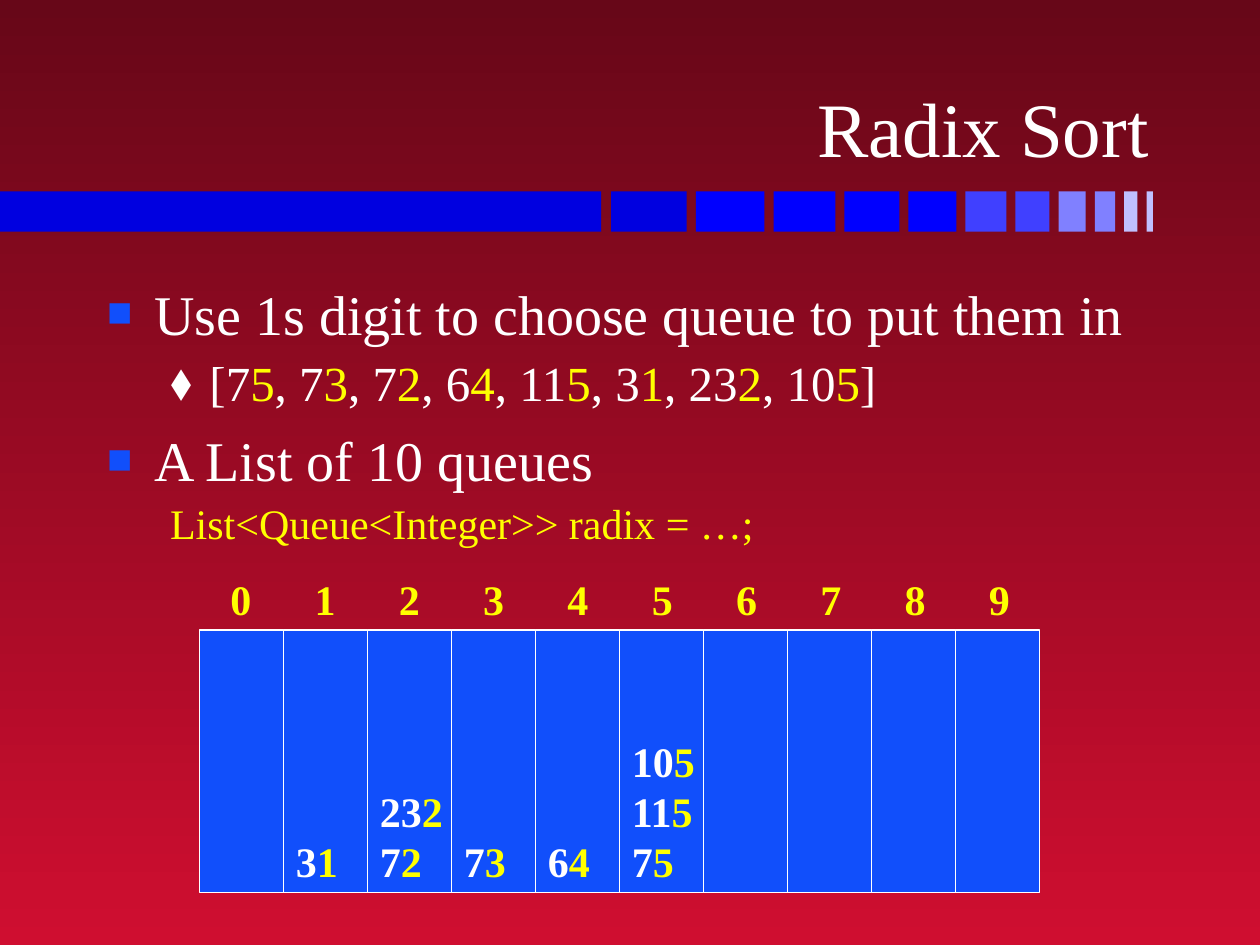
from lxml.etree import SubElement
from pptx import Presentation
from pptx.dml.color import RGBColor
from pptx.enum.shapes import MSO_SHAPE as Preset
from pptx.enum.text import MSO_ANCHOR as Anchor, MSO_AUTO_SIZE as AutoSize, PP_ALIGN as Align
from pptx.oxml.ns import qn
from pptx.util import Pt

# Text between asterisks takes the accent colour.
TITLE = "Radix Sort"
OUTLINE = [
    ("topic", "Use 1s digit to choose queue to put them in"),
    ("example", "[7*5*, 7*3*, 7*2*, 6*4*, 11*5*, 3*1*, 23*2*, 10*5*]"),
    ("topic", "A List of 10 queues"),
    ("code", "*List<Queue<Integer>> radix = …;*"),
]
QUEUES = [
    [], ["3*1*"], ["23*2*", "7*2*"], ["7*3*"], ["6*4*"],
    ["10*5*", "11*5*", "7*5*"], [], [], [], [],
]
BAR_COLOURS = ["0000E0"] + ["0000FF"] * 4 + ["4040FF"] * 2 + ["8080FF"] * 2 + ["C0C0FF"] * 2

THEME = {
    "font": "Times New Roman",
    "text": "FFFFFF", "accent": "FFFF00", "queue": "114FFB", "bar": "0000E0",
    "background": ("670718", "CF0E30"),
    "title": 44, "topic": 32, "example": 28, "code": 24, "cell": 24,
}
# Level, left margin, first-line indent, space before, bullet (sign, colour, percent)
OUTLINE_STYLES = {
    "topic": (0, 27, -27, 8, ("■", THEME["queue"], 75)),
    "example": (1, 58.5, -22.5, 3.5, ("⬧", THEME["text"], 100)),
    "code": (1, 58.5, -22.5, 3, None),
}

BAR_TOP, BAR_HEIGHT = 109.4, 23
BAR_SOLID, BAR_START = 343.6, 349.2
BAR_WIDTH, BAR_SHRINK, BAR_GAP = 43.2, 3.96, 5.22
QUEUE_LEFT, QUEUE_TOP, QUEUE_WIDTH, QUEUE_HEIGHT = 114, 360, 48, 150
LABEL_LEFT, LABEL_TOP, LABEL_PITCH, LABEL_WIDTH, LABEL_HEIGHT = 124.6, 324, 48.15, 26, 36


def colour(code):
    return RGBColor.from_string(code)


def write(para, marked, size, bold=False):
    for index, text in enumerate(marked.split("*")):
        if not text:
            continue
        span = para.add_run()
        span.text = text
        span.font.color.rgb = colour(THEME["accent" if index % 2 else "text"])
        form = {"name": THEME["font"], "size": Pt(size), "bold": bold}
        for name, value in form.items():
            setattr(span.font, name, value)


def paragraphs(frame, count):
    return [frame.paragraphs[0]] + [frame.add_paragraph() for _ in range(count - 1)]


def format_frame(frame, **form):
    for name, value in form.items():
        setattr(frame, name, value)


def place(shape, left, top, width, height):
    for name, value in zip(("left", "top", "width", "height"), (left, top, width, height)):
        setattr(shape, name, Pt(value))


def add_block(page, left, top, width, height, fill, outline=None):
    block = page.shapes.add_shape(
        Preset.RECTANGLE, Pt(left), Pt(top), Pt(width), Pt(height))
    block.shadow.inherit = False
    block.fill.solid()
    block.fill.fore_color.rgb = colour(fill)
    if outline:
        block.line.color.rgb = colour(outline)
        block.line.width = Pt(1)
    else:
        block.line.fill.background()
    return block


def set_bullet(para, margin, indent, bullet):
    props = para._p.get_or_add_pPr()
    props.set("marL", str(Pt(margin)))
    props.set("indent", str(Pt(indent)))
    if bullet is None:
        SubElement(props, qn("a:buNone"))
        return
    sign, code, percent = bullet
    SubElement(SubElement(props, qn("a:buClr")), qn("a:srgbClr"), val=code)
    SubElement(props, qn("a:buSzPct"), val=str(percent * 1000))
    SubElement(props, qn("a:buFont"), typeface=THEME["font"])
    SubElement(props, qn("a:buChar"), char=sign)


def paint_background(page):
    fill = page.background.fill
    fill.gradient()
    fill.gradient_angle = 270
    for stop, code in zip(fill.gradient_stops, THEME["background"]):
        stop.color.rgb = colour(code)


def add_bar(page):
    add_block(page, 0, BAR_TOP, BAR_SOLID, BAR_HEIGHT, THEME["bar"])
    left = BAR_START
    for index, code in enumerate(BAR_COLOURS):
        width = BAR_WIDTH - BAR_SHRINK * index
        add_block(page, left, BAR_TOP, width, BAR_HEIGHT, code)
        left += width + BAR_GAP


def fill_title(title):
    place(title, 53.3, 13.7, 610.5, 88.6)
    frame = title.text_frame
    format_frame(frame, vertical_anchor=Anchor.BOTTOM, auto_size=AutoSize.NONE)
    para = frame.paragraphs[0]
    para.alignment = Align.RIGHT
    write(para, TITLE, THEME["title"])


def fill_outline(body):
    place(body, 54, 156, 612, 324)
    frame = body.text_frame
    format_frame(frame, auto_size=AutoSize.NONE)
    for index, (para, (kind, text)) in enumerate(
            zip(paragraphs(frame, len(OUTLINE)), OUTLINE)):
        level, margin, indent, before, bullet = OUTLINE_STYLES[kind]
        para.level = level
        para.space_before = Pt(before if index else 0)
        set_bullet(para, margin, indent, bullet)
        write(para, text, THEME[kind])


def add_queues(page):
    for index, items in enumerate(QUEUES):
        cell = add_block(page, QUEUE_LEFT + QUEUE_WIDTH * index, QUEUE_TOP,
                         QUEUE_WIDTH, QUEUE_HEIGHT, THEME["queue"], THEME["text"])
        if items:
            frame = cell.text_frame
            format_frame(frame, vertical_anchor=Anchor.BOTTOM, word_wrap=False)
            for para, item in zip(paragraphs(frame, len(items)), items):
                para.alignment = Align.LEFT
                write(para, item, THEME["cell"], bold=True)


def add_labels(page):
    for digit in range(len(QUEUES)):
        label = page.shapes.add_textbox(
            Pt(LABEL_LEFT + LABEL_PITCH * digit), Pt(LABEL_TOP),
            Pt(LABEL_WIDTH), Pt(LABEL_HEIGHT))
        frame = label.text_frame
        format_frame(frame, word_wrap=False, auto_size=AutoSize.SHAPE_TO_FIT_TEXT)
        write(frame.paragraphs[0], f"*{digit}*", THEME["cell"], bold=True)


def main():
    deck = Presentation()
    deck.slide_width, deck.slide_height = Pt(720), Pt(540)
    page = deck.slides.add_slide(deck.slide_layouts[1])
    paint_background(page)
    add_bar(page)
    fill_title(page.shapes.title)
    fill_outline(page.placeholders[1])
    add_queues(page)
    add_labels(page)
    deck.save("out.pptx")


if __name__ == "__main__":
    main()
